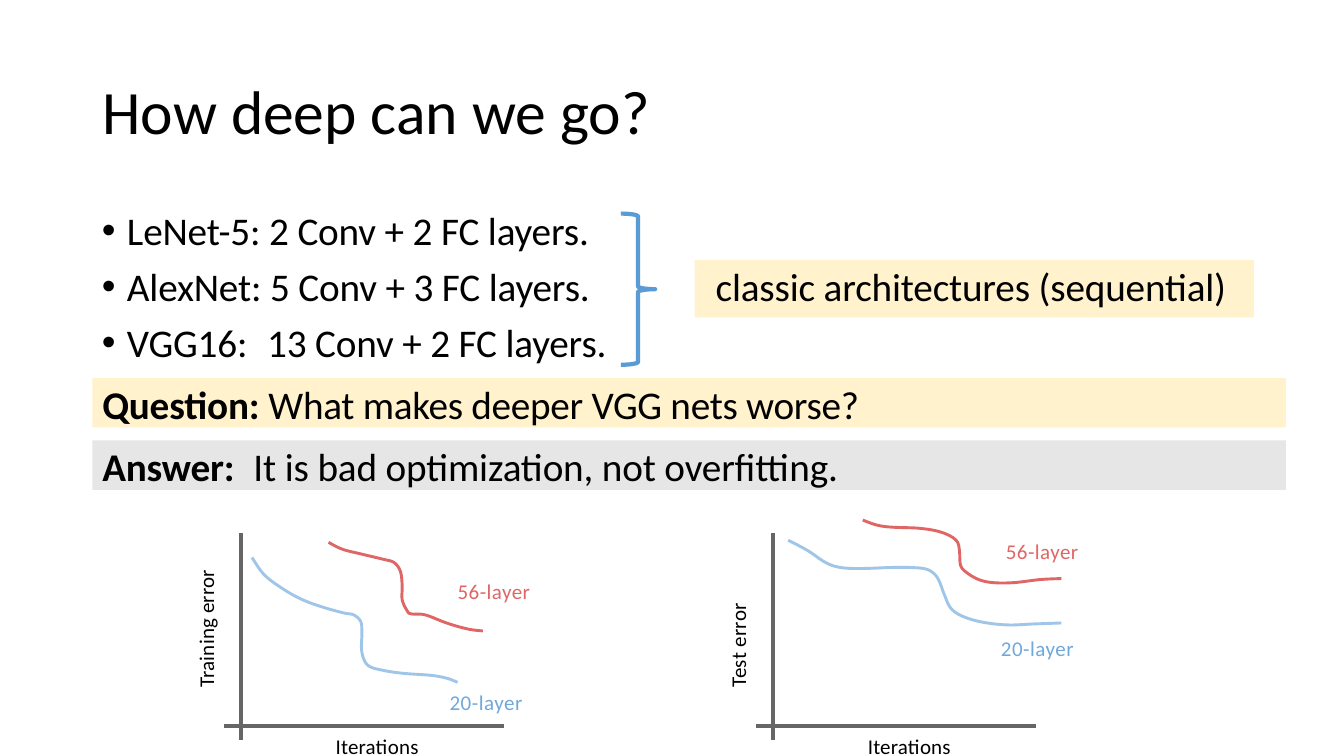
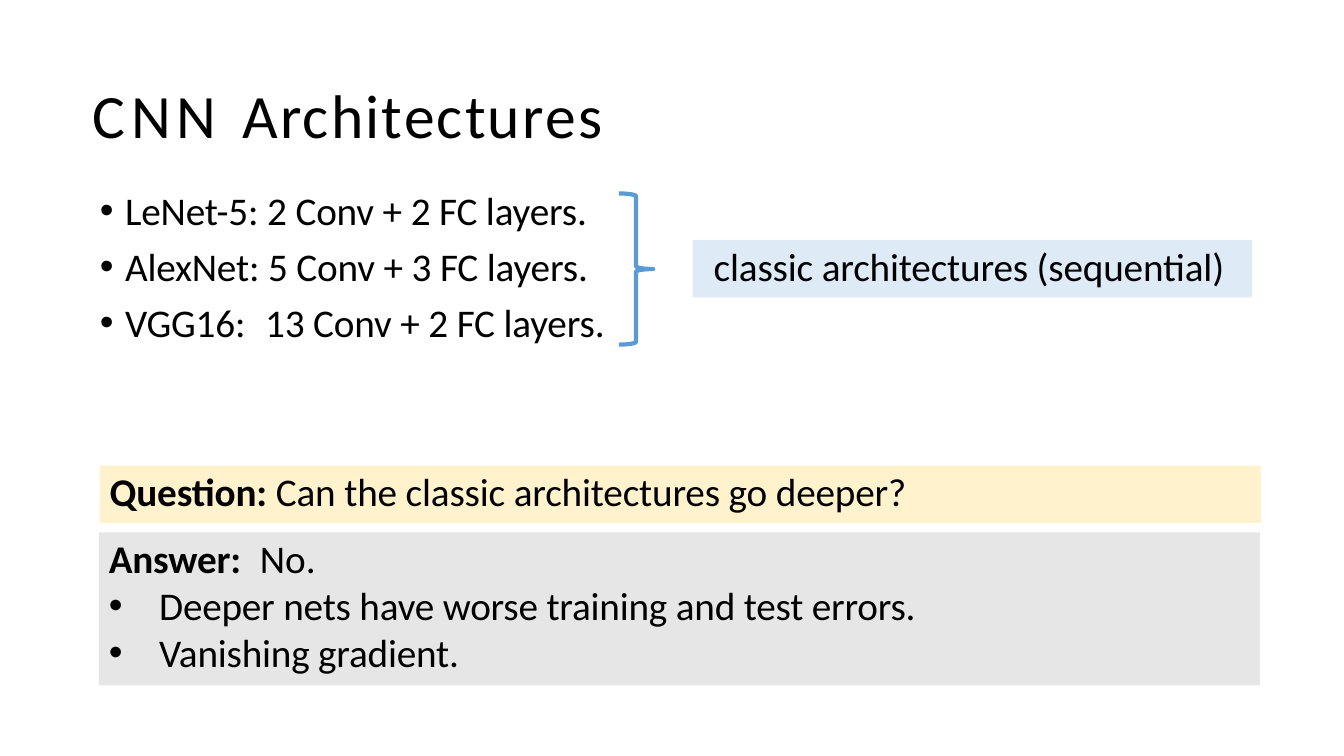
"""Build two slides on the depth of convolutional networks."""
from dataclasses import dataclass
from typing import NamedTuple

from lxml.etree import SubElement
from pptx import Presentation
from pptx.dml.color import RGBColor
from pptx.enum.shapes import MSO_CONNECTOR, MSO_SHAPE
from pptx.enum.text import MSO_ANCHOR, MSO_AUTO_SIZE, PP_ALIGN
from pptx.oxml.ns import qn
from pptx.util import Pt


@dataclass(frozen=True)
class Theme:
    """Colours, font and type sizes of the deck."""
    font: str = "Calibri"
    head: float = 44
    body: float = 28
    note: float = 15
    ink: RGBColor = RGBColor(0, 0, 0)
    cream: RGBColor = RGBColor(0xFF, 0xF2, 0xCC)
    gray: RGBColor = RGBColor(0xE7, 0xE6, 0xE6)
    pale: RGBColor = RGBColor(0xDE, 0xEB, 0xF7)
    brace: RGBColor = RGBColor(0x5B, 0x9B, 0xD5)
    axis: RGBColor = RGBColor(0x66, 0x66, 0x66)
    red: RGBColor = RGBColor(0xE0, 0x66, 0x66)
    blue: RGBColor = RGBColor(0x9F, 0xC5, 0xE8)
    sky: RGBColor = RGBColor(0x6F, 0xA8, 0xDC)


class Box(NamedTuple):
    """Place and size in points."""
    x: float
    y: float
    w: float
    h: float

    def lengths(self) -> tuple:
        """Give the four values as lengths."""
        return tuple(Pt(v) for v in self)


class Bit(NamedTuple):
    """A run of text with its own weight and tracking."""
    text: str
    bold: bool = False
    track: float = -0.1


class Para(NamedTuple):
    """A paragraph with optional bullet, tab stop and spacing."""
    bits: list
    hang: tuple = (0, 0)
    tab: float = 0
    before: float = 0
    line: object = None


class Curve(NamedTuple):
    """A curve with its knots and its label."""
    name: str
    line: RGBColor
    ink: RGBColor
    track: float
    x: float
    y: float
    knots: list


class Plot(NamedTuple):
    """A sketched chart, placed by its upright axis."""
    title: str
    track: float
    axis: float
    curves: list


THEME = Theme()
FLOOR = 518.4
MODELS = [
    "LeNet-5: 2 Conv + 2 FC layers.",
    "AlexNet: 5 Conv + 3 FC layers.",
    "VGG16:\t13 Conv + 2 FC layers.",
]
DEEP = ("56-layer", THEME.red, THEME.red, 0.35)
FLAT = ("20-layer", THEME.blue, THEME.sky, 0.4)
PLOTS = [
    Plot("Training error", 0.1, 172.1, [
        Curve(*FLAT, 321.1, 492.5, [
            (180, 398.2), (188.6, 410.4), (200.9, 419.8), (214.6, 427.7),
            (229.7, 433.4), (245.5, 437.8), (252.7, 439.2), (257.8, 444.2),
            (258.5, 452.9), (258.5, 465.8), (262.8, 475.2), (273.6, 478.8),
            (288.7, 481), (308.2, 482.4), (319.7, 484.6), (326.9, 487.4)]),
        Curve(*DEEP, 326.9, 413.2, [
            (234.7, 387.4), (244.8, 392.4), (259.2, 396), (274.3, 399.6),
            (281.5, 401.8), (286, 408), (287.3, 418.3), (287.3, 428.4),
            (290.9, 436.3), (293.8, 438.5), (303.8, 439.2), (319, 445),
            (334.1, 449.3), (344.9, 450.7)]),
    ]),
    Plot("Test error", 0.2, 552.2, [
        Curve(*FLAT, 714.9, 454.3, [
            (563, 385.9), (576.7, 393.1), (589.7, 401.8), (600.5, 405.4),
            (615.6, 406.1), (635.8, 405.4), (650.9, 405.4), (662.4, 406.8),
            (669.6, 412.6), (674.6, 424.8), (679, 434.2), (686.9, 439.9),
            (700.6, 444.2), (719.3, 446.4), (738.7, 445.7), (758.2, 445)]),
        Curve(*DEEP, 718.5, 384.4, [
            (616.3, 371.5), (626.4, 375.1), (637.2, 376.6), (655.9, 377.3),
            (669.6, 379.4), (679, 383), (684, 387.4), (685.4, 393.8),
            (686.2, 403.9), (690.5, 409), (699.1, 414), (709.2, 416.2),
            (724.3, 416.2), (743, 414), (758.2, 413.3)]),
    ]),
]


def write(shape, paras: list, size: float, ink: RGBColor = THEME.ink,
          pad: tuple = (0, 0), anchor=MSO_ANCHOR.TOP) -> None:
    """Fill a shape with formatted paragraphs."""
    frame = shape.text_frame
    frame.word_wrap = True
    frame.auto_size = MSO_AUTO_SIZE.NONE
    frame.vertical_anchor = anchor
    frame.margin_left, frame.margin_top = Pt(pad[0]), Pt(pad[1])
    frame.margin_right = frame.margin_bottom = 0
    for rank, item in enumerate(paras):
        par = frame.add_paragraph() if rank else frame.paragraphs[0]
        props = par._p.get_or_add_pPr()
        left, first = item.hang
        props.set("marL", str(Pt(left)))
        props.set("indent", str(Pt(first)))
        if first:
            SubElement(props, qn("a:buFont"), typeface="Arial")
            SubElement(props, qn("a:buChar"), char="•")
        if item.tab:
            tabs = SubElement(props, qn("a:tabLst"))
            SubElement(tabs, qn("a:tab"), pos=str(Pt(item.tab)), algn="l")
        par.alignment = PP_ALIGN.LEFT
        par.space_before = Pt(item.before)
        par.line_spacing = item.line
        for bit in item.bits:
            run = par.add_run()
            run.text = bit.text
            font = run.font
            font.name, font.size, font.bold = THEME.font, Pt(size), bit.bold
            font.color.rgb = ink
            run._r.get_or_add_rPr().set("spc", str(round(bit.track * 100)))


def place(shape, box: Box) -> None:
    """Move and size a shape."""
    shape.left, shape.top, shape.width, shape.height = box.lengths()


def start(deck, bits: list, pad: float = 0, line: float = 1.0):
    """Add a slide and set its title."""
    slide = deck.slides.add_slide(deck.slide_layouts[1])
    title = slide.shapes.title
    place(title, Box(66, 28.8, 828, 104.4))
    write(title, [Para(bits, line=line)], THEME.head, pad=(pad, 1),
          anchor=MSO_ANCHOR.MIDDLE)
    return slide


def band(slide, box: Box, fill: RGBColor, paras: list,
         pad: tuple = (7.2, 1.4)) -> None:
    """Draw a filled band of text."""
    shape = slide.shapes.add_shape(MSO_SHAPE.RECTANGLE, *box.lengths())
    shape.shadow.inherit = False
    shape.fill.solid()
    shape.fill.fore_color.rgb = fill
    shape.line.fill.background()
    write(shape, paras, THEME.body, pad=pad)


def classics(slide, x: float, y: float, fill: RGBColor) -> None:
    """Draw the list of models, its brace and its caption."""
    body = slide.placeholders[1]
    place(body, Box(x, y, 365, 121.7))
    paras = [Para([Bit(text)], (18.7, -18), 118.8 if "\t" in text else 0,
                  6.4 if rank else 0) for rank, text in enumerate(MODELS)]
    write(body, paras, THEME.body, pad=(0, 7.2))
    brace = slide.shapes.add_shape(
        MSO_SHAPE.RIGHT_BRACE, *Box(x + 371.5, y + 12.2, 24.5, 108).lengths())
    brace.shadow.inherit = False
    brace.fill.background()
    brace.line.color.rgb = THEME.brace
    brace.line.width = Pt(3)
    band(slide, Box(x + 424.1, y + 45.4, 399.6, 41), fill,
         [Para([Bit("classic architectures (sequential)")])], (15.1, 1.4))


def label(slide, box: Box, text: str, track: float,
          ink: RGBColor = THEME.ink, turn: float = 0) -> None:
    """Write a small label."""
    shape = slide.shapes.add_textbox(*box.lengths())
    shape.rotation = turn
    write(shape, [Para([Bit(text, track=track)])], THEME.note, ink)


def smooth(knots: list, steps: int = 5) -> list:
    """Give points of a spline that runs through the knots."""
    ends = [knots[0], *knots, knots[-1]]
    points = [knots[0]]
    for a, b, c, d in zip(ends, ends[1:], ends[2:], ends[3:]):
        for step in range(1, steps + 1):
            t = step / steps
            points.append(tuple(
                q + t * (r - p) / 2 + t ** 2 * (p - 2.5 * q + 2 * r - s / 2)
                + t ** 3 * (1.5 * (q - r) + (s - p) / 2)
                for p, q, r, s in zip(a, b, c, d)))
    return [(Pt(x), Pt(y)) for x, y in points]


def rule(slide, x: float, y: float, to_x: float, to_y: float) -> None:
    """Draw one axis."""
    line = slide.shapes.add_connector(
        MSO_CONNECTOR.STRAIGHT, *Box(x, y, to_x, to_y).lengths())
    line.line.color.rgb = THEME.axis
    line.line.width = Pt(3.12)
    SubElement(line._element.spPr, qn("a:effectLst"))


def sketch(slide, plot: Plot) -> None:
    """Draw the axes, curves and labels of a plot."""
    x = plot.axis
    rule(slide, x, 380.9, x, 528.5)
    rule(slide, x - 12.2, FLOOR, x + 188, FLOOR)
    label(slide, Box(x - 73.4, 430.2, 100, 21.6), plot.title, plot.track,
          turn=-90)
    label(slide, Box(x + 67.7, 524.1, 70, 15.9), "Iterations", 0.1)
    for curve in plot.curves:
        points = smooth(curve.knots)
        path = slide.shapes.build_freeform(*points[0], scale=1.0)
        path.add_line_segments(points[1:], close=False)
        shape = path.convert_to_shape()
        shape.shadow.inherit = False
        shape.fill.background()
        shape.line.color.rgb = curve.line
        shape.line.width = Pt(2.08)
        label(slide, Box(curve.x, curve.y, 65, 20), curve.name, curve.track,
              curve.ink)


def depth(deck) -> None:
    """Build the slide on how deep nets can go."""
    slide = start(deck, [Bit("How deep can we go?", track=0)], 7.2, 0.9)
    classics(slide, 72, 140.4, THEME.cream)
    band(slide, Box(66, 270, 852.5, 35.3), THEME.cream, [Para([
        Bit("Question: ", True),
        Bit("What makes deeper VGG nets worse?", track=-0.2)])])
    band(slide, Box(66, 314.6, 852.5, 35.3), THEME.gray, [Para([
        Bit("Answer:\t", True),
        Bit("It is bad optimization, not overfitting.")], tab=128.2)])
    for plot in PLOTS:
        sketch(slide, plot)


def limits(deck) -> None:
    """Build the slide on the limits of classic nets."""
    slide = start(deck, [Bit("CNN ", track=4.2),
                         Bit("Architectures", track=1.6)])
    classics(slide, 70.6, 126, THEME.pale)
    band(slide, Box(71.3, 332.6, 829.4, 41), THEME.cream, [Para([
        Bit("Question: ", True),
        Bit("Can the classic architectures go deeper?")])])
    points = [("Deeper nets have worse training and test errors.", 0.4),
              ("Vanishing gradient.", 0)]
    band(slide, Box(70.6, 380.2, 829.4, 109.4), THEME.gray, [
        Para([Bit("Answer:\t", True), Bit("No.", track=0)], tab=121),
        *(Para([Bit(text, track=-0.15)], (36, -36), 0, gap, Pt(33.3))
          for text, gap in points)])


def main() -> None:
    """Build and save the deck."""
    deck = Presentation()
    deck.slide_width, deck.slide_height = Pt(960), Pt(540)
    depth(deck)
    limits(deck)
    deck.save("out.pptx")


if __name__ == "__main__":
    main()
